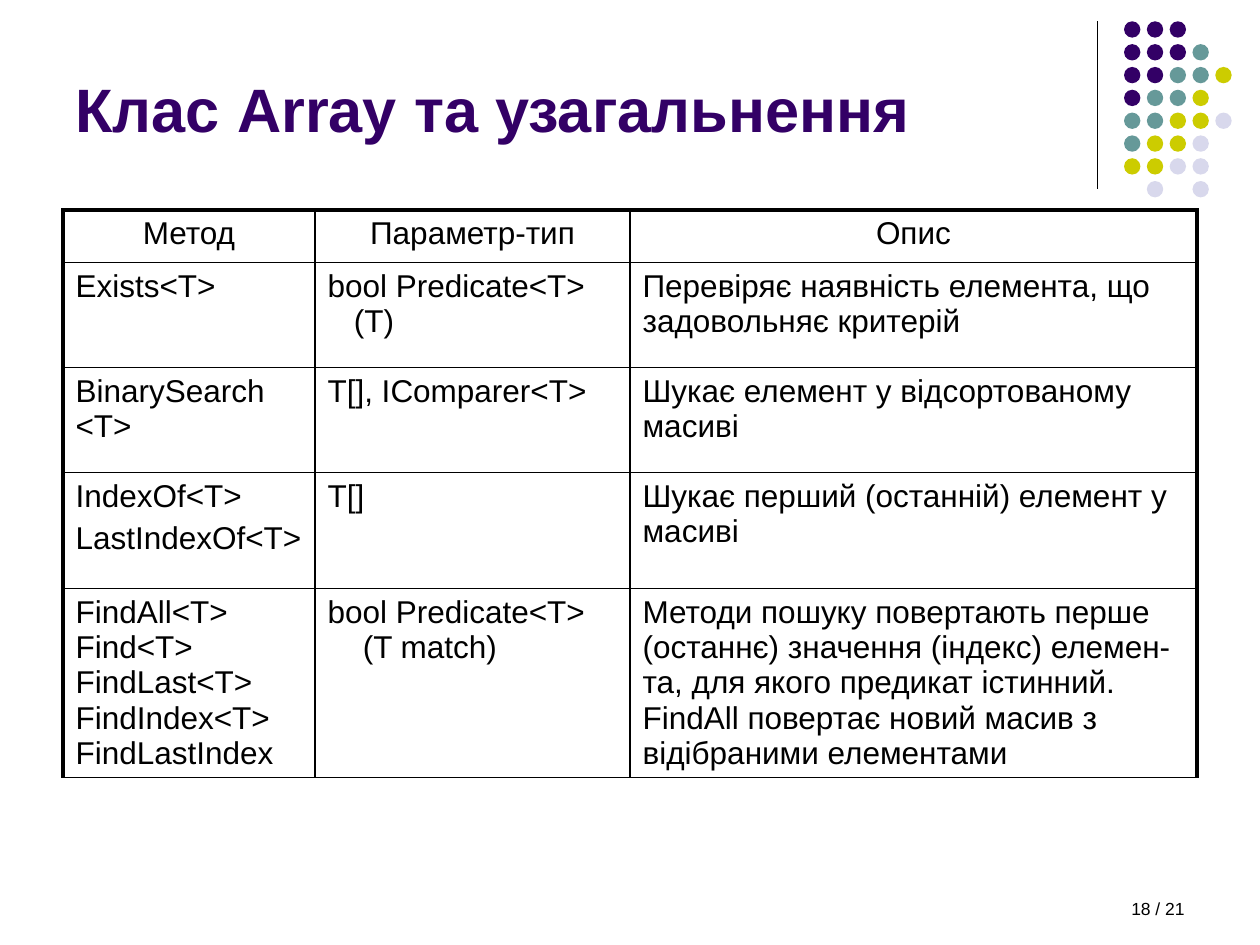
from lxml.etree import SubElement
from pptx import Presentation
from pptx.dml.color import RGBColor
from pptx.enum.shapes import MSO_CONNECTOR, MSO_SHAPE
from pptx.enum.text import MSO_ANCHOR, MSO_AUTO_SIZE, PP_ALIGN
from pptx.oxml.ns import qn
from pptx.util import Cm, Pt

HUES = {"P": "330066", "T": "669999", "Y": "CCCC00", "L": "D8D8EC", "ink": "000000"}
DOTS = ["PPP", "PPPT", "PPTTY", "PTTY", "TTYYL", "TYYL", "YYLL", " L L"]
HEAD = ["Метод", "Параметр-тип", "Опис"]
BODY = [
    ["Exists<T>", "bool Predicate<T>\n(T)",
     "Перевіряє наявність елемента, що задовольняє критерій"],
    ["BinarySearch <T>", "T[], IComparer<T>",
     "Шукає елемент у відсортованому масиві"],
    ["IndexOf<T>\vLastIndexOf<T>", "T[]",
     "Шукає перший (останній) елемент у масиві"],
    ["FindAll<T>\nFind<T>\nFindLast<T>\nFindIndex<T>\nFindLastIndex",
     "bool Predicate<T>\n(T match)",
     "Методи пошуку повертають перше (останнє) значення (індекс) елемен- та, "
     "для якого предикат істинний. FindAll повертає новий масив з "
     "відібраними елементами"],
]
HANG = {(1, 1): 0.53, (4, 1): 0.71}
WIDTHS = [5.08, 6.35, 11.43]
HEIGHTS = [1.06, 2.12, 2.12, 2.33, 3.81]


def hue(name):
    """Return the named colour."""
    return RGBColor.from_string(HUES[name])


def write(para, text, size, ink="ink", bold=False):
    """Add text to a paragraph run by run, breaking at line ends."""
    for i, line in enumerate(text.split("\n")):
        if i:
            para.add_line_break()
        run = para.add_run()
        run.text = line
        font = run.font
        font.name, font.size, font.bold = "Arial", Pt(size), bold
        font.color.rgb = hue(ink)


def edge(cell, side, width):
    """Draw one border of a cell."""
    line = SubElement(cell._tc.get_or_add_tcPr(), qn(f"a:ln{side}"), w=str(Pt(width)))
    fill = SubElement(line, qn("a:solidFill"))
    SubElement(fill, qn("a:srgbClr"), val=HUES["ink"])


def add_title(slide, x, y, w, h):
    """Fill and format the title placeholder."""
    title = slide.shapes.title
    title.left, title.top, title.width, title.height = Cm(x), Cm(y), Cm(w), Cm(h)
    frame = title.text_frame
    frame.auto_size = MSO_AUTO_SIZE.NONE
    frame.vertical_anchor = MSO_ANCHOR.BOTTOM
    para = frame.paragraphs[0]
    para.alignment = PP_ALIGN.LEFT
    write(para, "Клас Array та узагальнення", 35, "P", True)


def add_dots(slide, x, y, h):
    """Draw the corner rule and its grid of dots."""
    rule = slide.shapes.add_connector(
        MSO_CONNECTOR.STRAIGHT, Cm(x), Cm(y), Cm(x), Cm(y + h))
    rule.line.color.rgb = hue("ink")
    rule.line.width = Pt(0.75)
    SubElement(rule._element.spPr, qn("a:effectLst"))
    step, size = 0.46, 0.33
    for r, row in enumerate(DOTS):
        for c, key in enumerate(row):
            if key == " ":
                continue
            dot = slide.shapes.add_shape(
                MSO_SHAPE.OVAL, Cm(x + 0.54 + c * step), Cm(y + r * step),
                Cm(size), Cm(size))
            dot.shadow.inherit = False
            dot.fill.solid()
            dot.fill.fore_color.rgb = hue(key)
            dot.line.fill.background()


def fill_cell(cell, text, head, hang):
    """Write the paragraphs of one table cell."""
    frame = cell.text_frame
    for i, part in enumerate(text.split("\v")):
        para = frame.add_paragraph() if i else frame.paragraphs[0]
        para.alignment = PP_ALIGN.CENTER if head else PP_ALIGN.LEFT
        para.space_before = Pt(3.6)
        if hang:
            props = para._p.get_or_add_pPr()
            props.set("marL", str(Cm(hang)))
            props.set("indent", str(-Cm(hang)))
        write(para, part, 18)


def add_grid(slide, x, y):
    """Build the table of methods."""
    rows = [HEAD] + BODY
    table = slide.shapes.add_table(
        len(rows), len(HEAD), Cm(x), Cm(y), Cm(sum(WIDTHS)), Cm(sum(HEIGHTS))).table
    table.first_row = table.horz_banding = False
    for col, width in zip(table.columns, WIDTHS):
        col.width = Cm(width)
    for r, row in enumerate(rows):
        table.rows[r].height = Cm(HEIGHTS[r])
        for c, text in enumerate(row):
            cell = table.cell(r, c)
            fill_cell(cell, text, r == 0, HANG.get((r, c)))
            outer = {"L": c == 0, "R": c == len(HEAD) - 1, "T": r == 0, "B": False}
            for side, thick in outer.items():
                edge(cell, side, 2.25 if thick else 1)
            cell.fill.background()


def add_page(slide, x, y, w, h):
    """Place the page count."""
    frame = slide.shapes.add_textbox(Cm(x), Cm(y), Cm(w), Cm(h)).text_frame
    frame.word_wrap = True
    para = frame.paragraphs[0]
    para.alignment = PP_ALIGN.RIGHT
    write(para, "18 / 21", 10)


def main():
    """Build and save the slide."""
    deck = Presentation()
    deck.slide_width, deck.slide_height = Cm(25.4), Cm(19.05)
    slide = deck.slides.add_slide(deck.slide_layouts[5])
    add_dots(slide, 22.12, 0.43, 3.38)
    add_title(slide, 1.27, 0.84, 20.96, 2.21)
    add_grid(slide, 1.27, 4.23)
    add_page(slide, 18.21, 17.98, 5.92, 0.64)
    deck.save("out.pptx")


if __name__ == "__main__":
    main()
